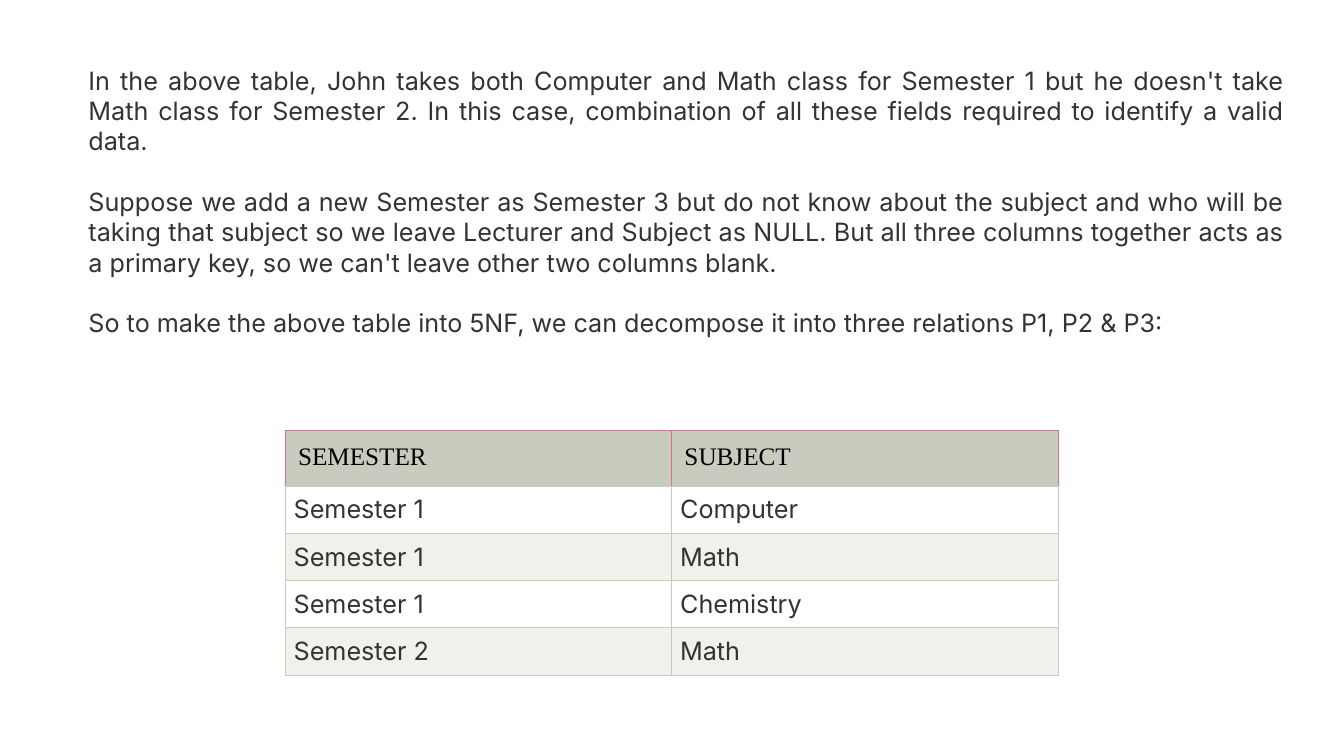
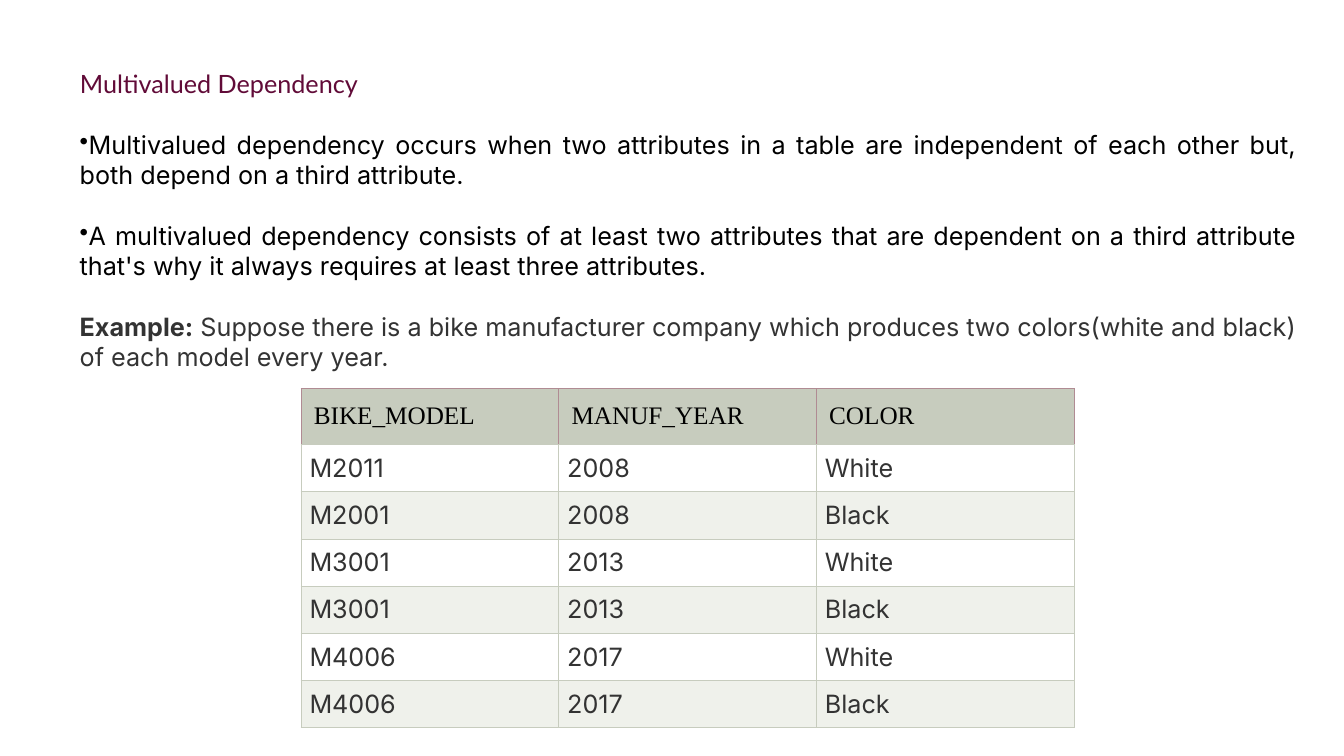
from dataclasses import dataclass

from lxml import etree
from pptx import Presentation
from pptx.dml.color import RGBColor
from pptx.enum.text import MSO_ANCHOR, MSO_AUTO_SIZE, PP_ALIGN
from pptx.oxml.ns import qn
from pptx.util import Cm, Pt

JUSTIFY, LEFT = PP_ALIGN.JUSTIFY, PP_ALIGN.LEFT
TOP = MSO_ANCHOR.TOP
NO_FIT, GROW = MSO_AUTO_SIZE.NONE, MSO_AUTO_SIZE.SHAPE_TO_FIT_TEXT
TITLE_ONLY, BLANK = 5, 6


@dataclass(frozen=True)
class Theme:
    body_font: str = "Inter"
    title_font: str = "Lato"
    header_font: str = "Times New Roman"
    size: float = 18
    paragraph_gap: float = 21.8
    border_width: float = 0.75
    text: str = "333333"
    black: str = "000000"
    title: str = "610B38"
    header_fill: str = "C7CCBE"
    row_fills: tuple = ("FFFFFF", "EFF1EB")
    border: str = "C7CCBE"


class Deck:
    """Holds the theme and the slide being built."""

    header_height, row_height = Cm(1.39), Cm(1.19)
    header_inset, row_inset = Cm(0.32), Cm(0.21)
    table_width = Cm(19.48)

    def __init__(self, theme):
        self.theme = theme
        self.presentation = Presentation()
        self.presentation.slide_width = Cm(33.87)
        self.presentation.slide_height = Cm(19.05)
        self.slide = None

    def new_slide(self, layout):
        layouts = self.presentation.slide_layouts
        self.slide = self.presentation.slides.add_slide(layouts[layout])

    def format_run(self, run, font, color, bold=False):
        run.font.name = font
        run.font.size = Pt(self.theme.size)
        run.font.bold = bold
        run.font.color.rgb = RGBColor.from_string(color)

    def title(self, text, left, top, width, height):
        shape = self.slide.shapes.title
        shape.left, shape.top, shape.width, shape.height = left, top, width, height
        frame = shape.text_frame
        frame.text = text
        frame.word_wrap, frame.auto_size = True, NO_FIT
        frame.vertical_anchor = TOP
        paragraph = frame.paragraphs[0]
        paragraph.alignment = JUSTIFY
        self.format_run(paragraph.runs[0], self.theme.title_font, self.theme.title)

    def body(self, paragraphs, left, top, width, height):
        """Each paragraph is (text, lead-in, is bullet)."""
        frame = self.slide.shapes.add_textbox(left, top, width, height).text_frame
        frame.word_wrap, frame.auto_size = True, GROW
        for index, (text, lead, bullet) in enumerate(paragraphs):
            paragraph = frame.add_paragraph() if index else frame.paragraphs[0]
            color = self.theme.text
            if bullet:
                self.bullet(paragraph)
                color = self.theme.black
            paragraph.alignment = JUSTIFY
            if index:
                paragraph.space_before = Pt(self.theme.paragraph_gap)
            for part, bold in ((lead, True), (text, False)):
                if part:
                    run = paragraph.add_run()
                    run.text = part
                    self.format_run(run, self.theme.body_font, color, bold)

    def bullet(self, paragraph):
        properties = paragraph._p.get_or_add_pPr()
        properties.set("marL", "0")
        properties.set("indent", "0")
        etree.SubElement(properties, qn("a:buChar")).set("char", "•")

    def table(self, rows, left, top, header_border):
        height = self.header_height + self.row_height * (len(rows) - 1)
        columns = len(rows[0])
        table = self.slide.shapes.add_table(
            len(rows), columns, left, top, self.table_width, height).table
        table.first_row = table.horz_banding = False
        for column in table.columns:
            column.width = self.table_width // columns
        for row_index, values in enumerate(rows):
            is_header = row_index == 0
            table.rows[row_index].height = (
                self.header_height if is_header else self.row_height)
            for column_index, value in enumerate(values):
                cell = table.cell(row_index, column_index)
                cell.text = value
                self.format_cell(cell, row_index, header_border)

    def format_cell(self, cell, row_index, header_border):
        theme = self.theme
        if row_index == 0:
            inset, alignment, fill = self.header_inset, LEFT, theme.header_fill
            font, color, edge = theme.header_font, theme.black, header_border
        else:
            inset, alignment = self.row_inset, JUSTIFY
            fill = theme.row_fills[(row_index - 1) % 2]
            font, color, edge = theme.body_font, theme.text, theme.border
        cell.margin_left = cell.margin_right = inset
        cell.margin_top = cell.margin_bottom = inset
        cell.vertical_anchor = TOP
        cell.fill.solid()
        cell.fill.fore_color.rgb = RGBColor.from_string(fill)
        paragraph = cell.text_frame.paragraphs[0]
        paragraph.alignment = alignment
        self.format_run(paragraph.runs[0], font, color)
        self.cell_borders(cell, {"L": edge, "R": edge, "T": edge, "B": theme.border})

    def cell_borders(self, cell, colors):
        properties = cell._tc.get_or_add_tcPr()
        for position, (side, color) in enumerate(colors.items()):
            line = etree.Element(qn(f"a:ln{side}"))
            line.set("w", str(Pt(self.theme.border_width)))
            fill = etree.SubElement(line, qn("a:solidFill"))
            etree.SubElement(fill, qn("a:srgbClr")).set("val", color)
            properties.insert(position, line)


def main():
    deck = Deck(Theme())

    # Fifth normal form: decomposition
    deck.new_slide(BLANK)
    deck.body([
        ("In the above table, John takes both Computer and Math class for "
         "Semester 1 but he doesn't take Math class for Semester 2. In this case, "
         "combination of all these fields required to identify a valid data.",
         "", False),
        ("Suppose we add a new Semester as Semester 3 but do not know about the "
         "subject and who will be taking that subject so we leave Lecturer and "
         "Subject as NULL. But all three columns together acts as a primary key, "
         "so we can't leave other two columns blank.", "", False),
        ("So to make the above table into 5NF, we can decompose it into three "
         "relations P1, P2 & P3:", "", False),
    ], Cm(1.98), Cm(1.52), Cm(30.63), Cm(6.4))
    deck.table([
        ("SEMESTER", "SUBJECT"),
        ("Semester 1", "Computer"),
        ("Semester 1", "Math"),
        ("Semester 1", "Chemistry"),
        ("Semester 2", "Math"),
    ], Cm(7.19), Cm(10.85), "E06F83")

    # Multivalued dependency
    deck.new_slide(TITLE_ONLY)
    left, width = Cm(1.76), Cm(31.17)
    deck.title("Multivalued Dependency", left, Cm(1.6), width, Cm(1.03))
    deck.body([
        ("Multivalued dependency occurs when two attributes in a table are "
         "independent of each other but, both depend on a third attribute.",
         "", True),
        ("A multivalued dependency consists of at least two attributes that are "
         "dependent on a third attribute that's why it always requires at least "
         "three attributes.", "", True),
        (" Suppose there is a bike manufacturer company which produces two "
         "colors(white and black) of each model every year.", "Example:", False),
    ], left, Cm(3.13), width, Cm(6.42))
    deck.table([
        ("BIKE_MODEL", "MANUF_YEAR", "COLOR"),
        ("M2011", "2008", "White"),
        ("M2001", "2008", "Black"),
        ("M3001", "2013", "White"),
        ("M3001", "2013", "Black"),
        ("M4006", "2017", "White"),
        ("M4006", "2017", "Black"),
    ], Cm(7.59), Cm(9.8), "B08B93")

    deck.presentation.save("out.pptx")


if __name__ == "__main__":
    main()
